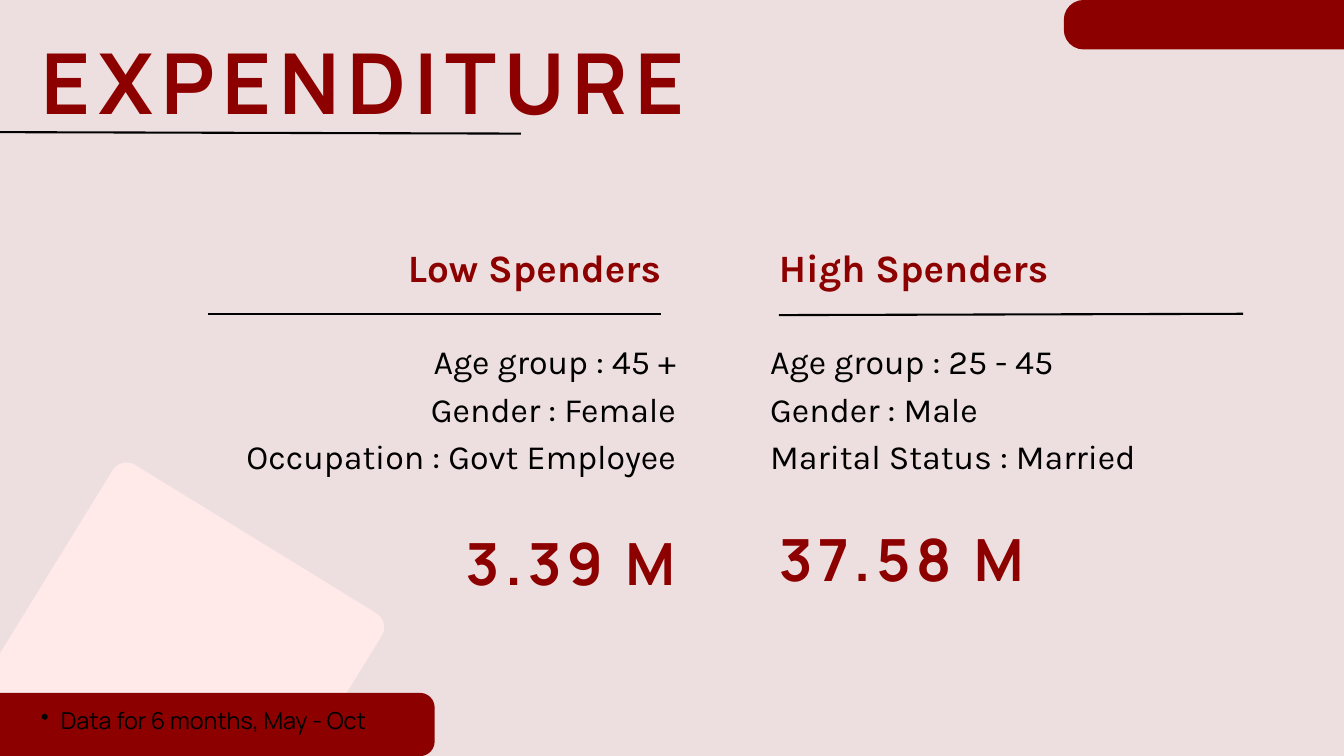
from lxml import etree
from pptx import Presentation
from pptx import util as u
from pptx.dml.color import RGBColor
from pptx.enum import shapes, text
from pptx.oxml import ns

THEME = {
    "background": "EDDFE0", "accent": "8D0000", "card": "FFE9E9", "ink": "000000",
    "rule_width": 2.25,
    # font, size, bold, letter spacing, line spacing, colour
    "title": ("Manrope", 90, True, 8.4, 126, "accent"),
    "heading": ("Karla", 41.5, True, 0, 58.1, "accent"),
    "trait": ("Karla", 36.4, False, 0, 50.9, "ink"),
    "amount": ("Manrope", 62.3, True, 5.8, 87.2, "accent"),
    "note": ("Manrope", 25, False, 0, 35, "ink"),
}

# Content; all places are in centimetres
TITLE = "EXPENDITURE"
NOTE = "Data for 6 months, May - Oct"
LEFT, RIGHT, CENTER = text.PP_ALIGN.LEFT, text.PP_ALIGN.RIGHT, text.PP_ALIGN.CENTER
GROUPS = [
    {
        "heading": "Low Spenders", "amount": "3.39 M", "align": RIGHT,
        "traits": ["Age group : 45 +", "Gender : Female", "Occupation : Govt Employee"],
        "heading_x": (6.32, 18.67), "traits_x": (0.56, 24.99),
        "amount_x": (10.62, 14.91), "amount_top": 19.48,
        "rule": (7.87, 11.86, 24.97, 11.86),
    },
    {
        "heading": "High Spenders", "amount": "37.58 M", "align": LEFT,
        "traits": ["Age group : 25 - 45", "Gender : Male", "Marital Status : Married"],
        "heading_x": (29.44, 17.55), "traits_x": (29.11, 20.9),
        "amount_x": (29.44, 10.67), "amount_top": 19.33,
        "rule": (29.44, 11.91, 46.99, 11.86),
    },
]
# left, top, width, height, corner radius, rotation, colour
CARD = (-5.1, 22.66, 19.38, 11.94, 0.61, 301.6, "card")
TOP_BAR = (40.21, 0, 15.47, 1.87, 0.75, 0, "accent")
BOTTOM_BAR = (-4.88, 26.19, 21.31, 2.39, 0.55, 0, "accent")


def color(name):
    return RGBColor.from_string(THEME[name])


def add_panel(slide, left, top, width, height, radius, rotation, fill):
    panel = slide.shapes.add_shape(
        shapes.MSO_SHAPE.ROUNDED_RECTANGLE, *map(u.Cm, (left, top, width, height)))
    panel.adjustments[0] = radius / min(width, height)
    panel.rotation = rotation
    panel.shadow.inherit = False
    panel.fill.solid()
    panel.fill.fore_color.rgb = color(fill)
    panel.line.fill.background()


def add_rule(slide, *ends):
    rule = slide.shapes.add_connector(shapes.MSO_CONNECTOR.STRAIGHT, *map(u.Cm, ends))
    rule.line.color.rgb = color("ink")
    rule.line.width = u.Pt(THEME["rule_width"])
    etree.SubElement(rule._element.spPr, ns.qn("a:effectLst"))


def add_bullet(paragraph):
    properties = paragraph._p.get_or_add_pPr()
    properties.set("marL", str(u.Cm(1.5)))
    properties.set("indent", str(u.Cm(-0.75)))
    etree.SubElement(properties, ns.qn("a:buChar")).set("char", "•")


def add_text(slide, lines, style, box, align=LEFT, bullet=False):
    font, size, bold, tracking, leading, ink = THEME[style]
    frame = slide.shapes.add_textbox(*map(u.Cm, box)).text_frame
    frame.word_wrap = True
    frame.margin_left = frame.margin_right = frame.margin_top = frame.margin_bottom = 0
    for index, line in enumerate(lines):
        paragraph = frame.add_paragraph() if index else frame.paragraphs[0]
        if bullet:
            add_bullet(paragraph)
            paragraph.level = 1
        paragraph.alignment = align
        paragraph.line_spacing = u.Pt(leading)
        run = paragraph.add_run()
        run.text = line
        run.font.name, run.font.size, run.font.bold = font, u.Pt(size), bold
        run.font.color.rgb = color(ink)
        if tracking:
            run._r.get_or_add_rPr().set("spc", str(round(tracking * 100)))


def add_group(slide, group):
    rows = [
        ([group["heading"]], "heading", group["heading_x"], 8.94, 1.96),
        (group["traits"], "trait", group["traits_x"], 12.62, 7.06),
        ([group["amount"]], "amount", group["amount_x"], group["amount_top"], 3.15),
    ]
    for lines, style, (left, width), top, height in rows:
        add_text(slide, lines, style, (left, top, width, height), group["align"])
    add_rule(slide, *group["rule"])


def main():
    deck = Presentation()
    deck.slide_width = u.Cm(50.8)
    deck.slide_height = deck.slide_width * 9 // 16
    slide = deck.slides.add_slide(deck.slide_layouts[6])
    slide.background.fill.solid()
    slide.background.fill.fore_color.rgb = color("background")

    # Title and decoration
    add_rule(slide, -5.08, 4.98, 19.69, 5.05)
    add_panel(slide, *TOP_BAR)
    add_panel(slide, *CARD)
    add_text(slide, [TITLE], "title", (1.57, 0.53, 25.93, 4.5))

    # The two spender groups
    for group in GROUPS:
        add_group(slide, group)

    # Footer
    add_panel(slide, *BOTTOM_BAR)
    add_text(slide, [NOTE], "note", (0, 26.52, 14.63, 1.22), CENTER, bullet=True)

    deck.save("out.pptx")


if __name__ == "__main__":
    main()
